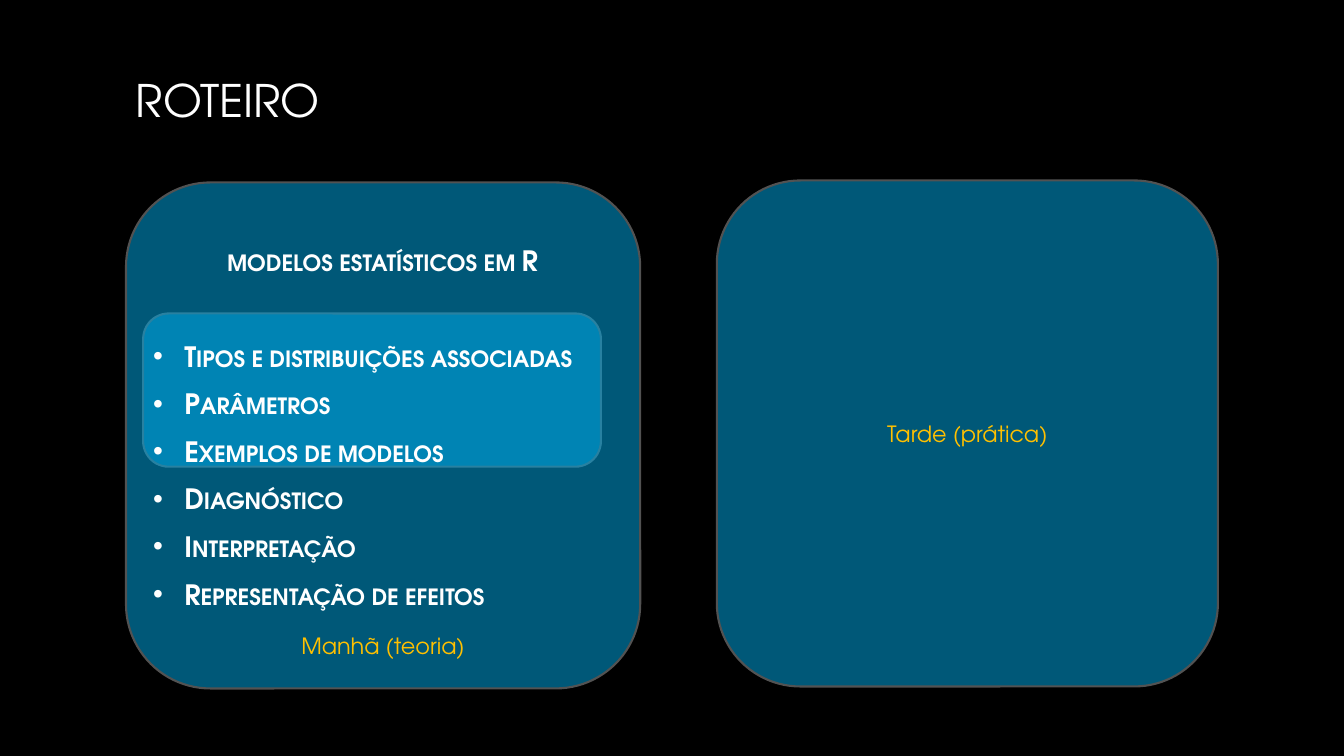
from dataclasses import dataclass

from lxml.etree import SubElement
from pptx import Presentation
from pptx.dml.color import RGBColor
from pptx.enum.shapes import MSO_SHAPE
from pptx.enum.text import MSO_ANCHOR, PP_ALIGN
from pptx.oxml.ns import qn
from pptx.slide import Slide
from pptx.text.text import TextFrame, _Paragraph
from pptx.util import Inches, Pt

BLACK = RGBColor(0x00, 0x00, 0x00)
WHITE = RGBColor(0xFF, 0xFF, 0xFF)
BLUE = RGBColor(0x00, 0xB0, 0xF0)
GRAY = RGBColor(0x52, 0x52, 0x52)
GOLD = RGBColor(0xFF, 0xC0, 0x00)
FACE = "TeX Gyre Adventor"


@dataclass
class Panel:
    left: float
    top: float
    width: float
    height: float
    label: str = ""
    anchor: MSO_ANCHOR = MSO_ANCHOR.MIDDLE


PANELS = [
    Panel(1.42, 3.11, 4.54, 1.52),
    Panel(7.11, 1.79, 4.97, 5.02, "Tarde (prática)"),
    Panel(1.25, 1.81, 5.1, 5.02, "Manhã (teoria)", MSO_ANCHOR.BOTTOM),
]
HEADING = "modelos estatísticos em R"
TOPICS = [
    "Tipos e distribuições associadas",
    "Parâmetros",
    "Exemplos de modelos",
    "Diagnóstico",
    "Interpretação",
    "Representação de efeitos",
]


def style(para: _Paragraph, size: int, color: RGBColor, caps: bool = False) -> None:
    for run in para.runs:
        run.font.name = FACE
        run.font.size = Pt(size)
        run.font.color.rgb = color
        if caps:
            run.font.bold = True
            run.font._element.set("cap", "small")


def add_panel(slide: Slide, panel: Panel) -> None:
    shape = slide.shapes.add_shape(
        MSO_SHAPE.ROUNDED_RECTANGLE,
        Inches(panel.left), Inches(panel.top),
        Inches(panel.width), Inches(panel.height),
    )
    shape.shadow.inherit = False
    shape.fill.solid()
    shape.fill.fore_color.rgb = BLUE
    color = shape._element.spPr.find(qn("a:solidFill")).find(qn("a:srgbClr"))
    SubElement(color, qn("a:alpha"), val="50000")
    shape.line.color.rgb = GRAY
    shape.line.width = Pt(1.5)
    if panel.label:
        frame = shape.text_frame
        frame.text = panel.label
        frame.vertical_anchor = panel.anchor
        para = frame.paragraphs[0]
        para.alignment = PP_ALIGN.CENTER
        style(para, 16, GOLD)


def add_text(slide: Slide, text: str, left: float, top: float,
             width: float, height: float) -> TextFrame:
    box = slide.shapes.add_textbox(
        Inches(left), Inches(top), Inches(width), Inches(height)
    )
    frame = box.text_frame
    frame.word_wrap = True
    frame.text = text
    return frame


def add_bullet(para: _Paragraph) -> None:
    props = para._p.get_or_add_pPr()
    props.set("marL", str(Inches(0.31)))
    props.set("indent", str(-Inches(0.31)))
    color = SubElement(props, qn("a:buClr"))
    SubElement(color, qn("a:srgbClr"), val=str(WHITE))
    SubElement(props, qn("a:buFont"), typeface="Arial")
    SubElement(props, qn("a:buChar"), char="•")


def add_topics(slide: Slide) -> None:
    frame = add_text(slide, HEADING, 1.42, 2.37, 4.75, 3.79)
    head = frame.paragraphs[0]
    head.alignment = PP_ALIGN.CENTER
    head.space_after = Pt(40)
    style(head, 20, WHITE, True)
    for topic in TOPICS:
        para = frame.add_paragraph()
        para.text = topic
        add_bullet(para)
        para.space_before = Pt(4)
        para.space_after = Pt(6)
        style(para, 20, WHITE, True)


def main() -> None:
    deck = Presentation()
    deck.slide_width = Inches(13.33)
    deck.slide_height = Inches(7.5)
    slide = deck.slides.add_slide(deck.slide_layouts[6])
    slide.background.fill.solid()
    slide.background.fill.fore_color.rgb = BLACK
    for panel in PANELS:
        add_panel(slide, panel)
    title = add_text(slide, "ROTEIRO", 1.25, 0.67, 10.83, 2.08)
    style(title.paragraphs[0], 32, WHITE)
    add_topics(slide)
    deck.save("out.pptx")


if __name__ == "__main__":
    main()
